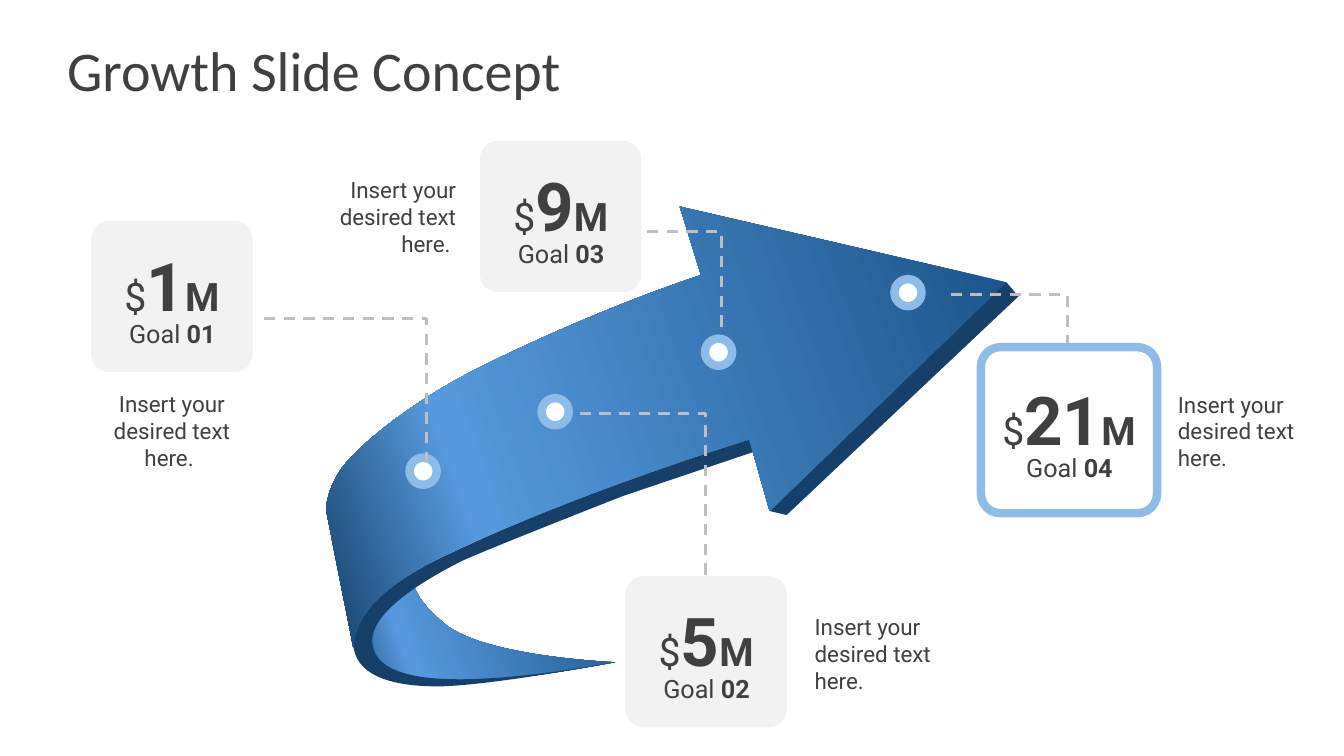
import copy

import lxml.etree
import pptx
import pptx.dml.color
import pptx.enum.dml
import pptx.enum.shapes
import pptx.enum.text
import pptx.oxml.ns
import pptx.util

Pt = pptx.util.Pt
RGB = pptx.dml.color.RGBColor
SHAPE = pptx.enum.shapes.MSO_SHAPE
ALIGN = pptx.enum.text.PP_ALIGN
ANCHOR = pptx.enum.text.MSO_ANCHOR
AUTOSIZE = pptx.enum.text.MSO_AUTO_SIZE
qn = pptx.oxml.ns.qn

INK = RGB(0x40, 0x40, 0x40)
WHITE = RGB(0xFF, 0xFF, 0xFF)
CARD = RGB(0xF2, 0xF2, 0xF2)
LEADER = RGB(0xBF, 0xBF, 0xBF)
RING = RGB(0x8E, 0xBC, 0xE8)
MID_BLUE = RGB(0x1D, 0x56, 0x8E)
LIGHT_BLUE = RGB(0x56, 0x9A, 0xDD)
DARK_BLUE = RGB(0x16, 0x40, 0x6A)

CARD_W, CARD_H = 115.2, 108
CAPTION_H = 58.3
MARKER_SIZE = 19.4

# Arrow outlines in points from the arrow's corner: pairs are lines, sixes are curves
TAIL = [
    (44.5, 243.2), (44.5, 243.2, 7.8, 290, 29.4, 324.6),
    (29.4, 324.6, 46.6, 341.9, 83.4, 340.4), (83.4, 340.4, 113.6, 343.3, 207.2, 326),
    (207.2, 326, 114.3, 322.4, 85.5, 298.7), (57.4, 274.9, 61, 266.3, 59.6, 229.6),
]
EDGE = [
    (207.2, 326), (207.2, 326, 120.1, 342.6, 81.2, 343.3),
    (43.8, 343.3, 21.4, 334, 20, 313.1), (18.6, 289.3, 42.3, 262.7, 146, 220.9),
    (224.5, 189.2, 303.7, 166.2, 303.7, 166.2), (306.6, 175.6), (318.8, 201.5),
    (486.6, 54.6), (495.2, 64.7), (329.6, 220.9), (317.4, 218), (306.6, 175.6),
    (213, 207.2), (213, 207.2, 124.4, 241.8, 98.5, 253.3),
    (69.7, 267.7, 31.5, 290.8, 33.7, 312.4), (35.8, 334, 67.5, 350.5, 207.2, 326),
]
BODY = [
    (486.6, 54.6), (317.4, 218), (303, 166.9),
    (303, 166.9, 184.9, 202.9, 92, 246.8), (71.8, 256.2, 21.4, 279.2, 20, 315.2),
    (0.6, 217.3), (0.6, 217.3, 0.6, 202.9, 12.1, 187.1),
    (24.3, 171.2, 56, 144.6, 98.5, 121.6), (141, 99.2, 213, 67.6, 268.4, 49.6),
    (253.3, 0.6),
]
MARKER_X = [406.6, 271.3, 154.6, 60.3]
MARKER_TOP, MARKER_STEP = 52.4, 42.5

# Leader and caption places are offsets from the card's corner
GOALS = [
    dict(number="01", amount="1", at=(65.2, 157.7), leader=(123.4, 69.8, 239.4, 173.5),
         text="Insert your desired text here. ", caption=(0, 120.9),
         align=ALIGN.CENTER, anchor=ANCHOR.TOP),
    dict(number="03", amount="9", at=(342.9, 100.7), leader=(119.3, 64.8, 172.3, 135.4),
         text="Insert your desired text here. ", caption=(-132.3, 24.5),
         align=ALIGN.RIGHT, anchor=ANCHOR.BOTTOM),
    dict(number="04", amount="21", at=(706, 253.3), leader=(-27, -43.2, 56.5, -7.9),
         text="Insert your desired text here.", caption=(135.4, 25),
         align=ALIGN.LEFT, anchor=ANCHOR.BOTTOM, framed=True),
    dict(number="02", amount="5", at=(446.8, 411.6), leader=(-32.8, -116.4, 57.2, 8.7),
         text="Insert your desired text here.", caption=(135.1, 25.8),
         align=ALIGN.LEFT, anchor=ANCHOR.BOTTOM),
]


def apply(obj, values):
    for name, value in values.items():
        setattr(obj, name, value)


def write(tf, runs, align, frame, font="Roboto"):
    """Fill a text frame with one paragraph of (text, size, bold) runs."""
    apply(tf, frame)
    p = tf.paragraphs[0]
    p.alignment = align
    for text, size, bold in runs:
        r = p.add_run()
        r.text = text
        apply(r.font, dict(name=font, size=Pt(size), bold=bold))
        r.font.color.rgb = INK


def add_text(shapes, box, runs, align=ALIGN.CENTER, anchor=ANCHOR.TOP, wrap=False):
    sp = shapes.add_textbox(*map(Pt, box))
    write(sp.text_frame, runs, align, dict(
        margin_left=0, margin_top=0, margin_right=0, margin_bottom=0,
        word_wrap=wrap, vertical_anchor=anchor, auto_size=AUTOSIZE.SHAPE_TO_FIT_TEXT))


def add_solid(shapes, kind, box, fill, line=None):
    sp = shapes.add_shape(kind, *map(Pt, box))
    sp.shadow.inherit = False
    sp.fill.solid()
    sp.fill.fore_color.rgb = fill
    if line:
        sp.line.color.rgb = line
        sp.line.width = Pt(6)
    else:
        sp.line.fill.background()
    if kind == SHAPE.ROUNDED_RECTANGLE:
        sp.adjustments[0] = 0.117


def add_outline(shapes, origin, outline, close):
    """Draw lines and cubic curves as one freeform."""
    points = [(Pt(origin[0] + part[k]), Pt(origin[1] + part[k + 1]))
              for part in outline for k in range(0, len(part), 2)]
    builder = shapes.build_freeform(*points[0])
    builder.add_line_segments(points[1:], close=close)
    sp = builder.convert_to_shape()
    sp.shadow.inherit = False
    # Join each curve's three points into one cubic segment
    segments = iter(list(sp._element.iter(qn("a:lnTo"))))
    for part in outline[1:]:
        first = next(segments)
        if len(part) == 6:
            curve = lxml.etree.Element(qn("a:cubicBezTo"))
            first.addprevious(curve)
            for segment in (first, next(segments), next(segments)):
                curve.append(segment[0])
                segment.getparent().remove(segment)
    return sp


def fill_gradient(sp, stops):
    sp.fill.gradient()
    sp.fill.gradient_angle = 200
    gs_list = sp._element.spPr.find(".//" + qn("a:gsLst"))
    gs_list.append(copy.deepcopy(gs_list[0]))
    for stop, (position, color) in zip(sp.fill.gradient_stops, stops):
        stop.position = position
        stop.color.rgb = color


def add_title(slide, box, text):
    sp = slide.shapes.title
    apply(sp, dict(zip(("left", "top", "width", "height"), map(Pt, box))))
    write(sp.text_frame, [(text, 40, False)], ALIGN.LEFT, dict(
        margin_left=0, margin_top=Pt(5), margin_right=0, margin_bottom=Pt(5),
        vertical_anchor=ANCHOR.MIDDLE), font="Calibri")


def add_arrow(slide, origin):
    # Ribbon: inner tail, dark edge, front face
    ribbon = [
        (TAIL, [(0.01, MID_BLUE), (0.76, LIGHT_BLUE), (1, DARK_BLUE)]),
        (EDGE, None),
        (BODY, [(0.03, MID_BLUE), (0.77, LIGHT_BLUE), (1, DARK_BLUE)]),
    ]
    group = slide.shapes.add_group_shape()
    for outline, stops in ribbon:
        sp = add_outline(group.shapes, origin, outline, True)
        sp.line.fill.background()
        if stops:
            fill_gradient(sp, stops)
        else:
            sp.fill.solid()
            sp.fill.fore_color.rgb = DARK_BLUE
    # Ringed markers
    for i, x in enumerate(MARKER_X):
        y = MARKER_TOP + i * MARKER_STEP
        add_solid(slide.shapes, SHAPE.OVAL,
                  (origin[0] + x, origin[1] + y, MARKER_SIZE, MARKER_SIZE), WHITE, RING)


def add_goal(slide, goal):
    x, y = goal["at"]
    framed = goal.get("framed", False)
    # Dashed leader
    x0, y0, x1, y1 = goal["leader"]
    sp = add_outline(slide.shapes, (x, y), [(x0, y0), (x1, y0), (x1, y1)], False)
    sp.fill.background()
    sp.line.color.rgb = LEADER
    apply(sp.line, dict(width=Pt(2), dash_style=pptx.enum.dml.MSO_LINE.DASH))
    # Card
    if framed:
        add_solid(slide.shapes, SHAPE.ROUNDED_RECTANGLE,
                  (x - 5.3, y - 5.3, CARD_W + 10.6, CARD_H + 10.6), WHITE, RING)
    card = slide.shapes.add_group_shape().shapes
    add_solid(card, SHAPE.ROUNDED_RECTANGLE, (x, y, CARD_W, CARD_H), WHITE if framed else CARD)
    # Goal number and amount
    add_text(card, (x + 26.6, y + 69.6, 62.6, 21.8),
             [("Goal ", 18, False), (goal["number"], 18, True)])
    width = 42 + 28 * len(goal["amount"])
    add_text(card, (x + (CARD_W - width) / 2, y + 16.6, width, 58.3),
             [("$", 28, False), (goal["amount"], 48, True), ("M", 28, True)])
    # Caption
    dx, dy = goal["caption"]
    add_text(slide.shapes, (x + dx, y + dy, CARD_W, CAPTION_H), [(goal["text"], 16, False)],
             goal["align"], goal["anchor"], True)


def main():
    prs = pptx.Presentation()
    prs.slide_width, prs.slide_height = Pt(960), Pt(540)
    slide = prs.slides.add_slide(prs.slide_layouts[5])
    add_title(slide, (48, 21.6, 864, 56.2), "Growth Slide Concept")
    add_arrow(slide, (232.3, 147))
    for goal in GOALS:
        add_goal(slide, goal)
    prs.save("out.pptx")


if __name__ == "__main__":
    main()
